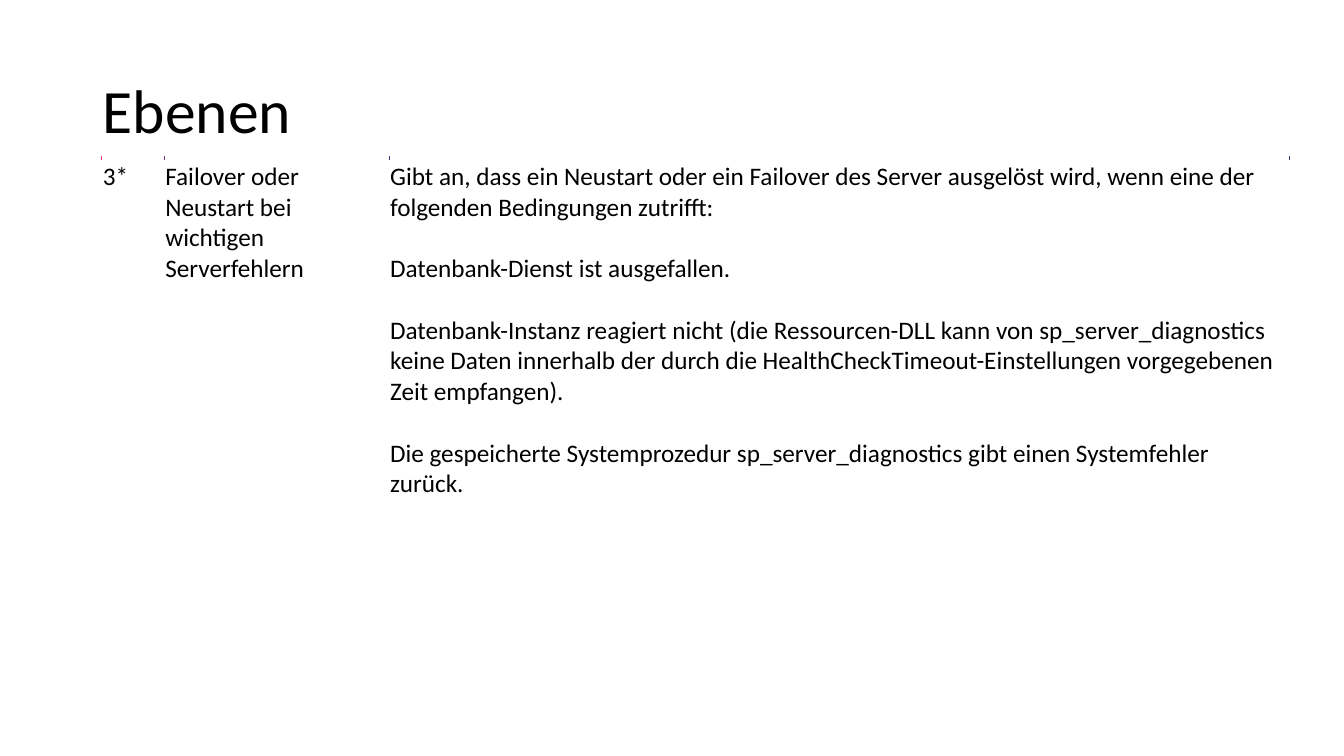
from lxml.etree import SubElement
from pptx import Presentation
from pptx.dml.color import RGBColor
from pptx.enum.text import MSO_ANCHOR, PP_ALIGN
from pptx.oxml.ns import qn
from pptx.util import Inches, Pt

FONT = "Calibri"
BLACK = "000000"
WHITE = "FFFFFF"
COLUMN_WIDTHS = [0.62, 2.23, 8.93]
ROW_HEIGHTS = [0.04, 3.32]
DIVIDER_COLORS = ["F04082", "703C82", "303C82", "303C82"]
LEVEL_TEXTS = [
    ["3*"],
    ["Failover oder Neustart bei wichtigen Serverfehlern"],
    [
        "Gibt an, dass ein Neustart oder ein Failover des Server ausgelöst wird, "
        "wenn eine der folgenden Bedingungen zutrifft:",
        "Datenbank-Dienst ist ausgefallen.",
        "Datenbank-Instanz reagiert nicht (die Ressourcen-DLL kann von "
        "sp_server_diagnostics keine Daten innerhalb der durch die "
        "HealthCheckTimeout-Einstellungen vorgegebenen Zeit empfangen).",
        "Die gespeicherte Systemprozedur sp_server_diagnostics gibt einen "
        "Systemfehler zurück.",
    ],
]


def rgb(color):
    return RGBColor.from_string(color)


def format_runs(paragraph, size):
    for run in paragraph.runs:
        run.font.name = FONT
        run.font.size = Pt(size)
        run.font.color.rgb = rgb(BLACK)


def add_title(slide, text):
    title = slide.shapes.title
    title.left, title.top = Inches(0.92), Inches(0.4)
    title.width, title.height = Inches(11.5), Inches(1.45)
    title.text_frame.text = text
    title.text_frame.vertical_anchor = MSO_ANCHOR.MIDDLE
    paragraph = title.text_frame.paragraphs[0]
    paragraph.alignment = PP_ALIGN.LEFT
    paragraph.line_spacing = 0.9
    format_runs(paragraph, 44)


def style_cell(cell, margin, left=WHITE, right=WHITE):
    cell.margin_left = cell.margin_right = Inches(margin)
    cell.margin_top = cell.margin_bottom = Inches(margin)
    properties = cell._tc.get_or_add_tcPr()
    borders = {"a:lnL": left, "a:lnR": right, "a:lnT": WHITE, "a:lnB": WHITE}
    for tag, color in borders.items():
        width = Pt(0.75) if color == WHITE else Pt(1)
        line = SubElement(properties, qn(tag), w=str(width))
        fill = SubElement(line, qn("a:solidFill"))
        SubElement(fill, qn("a:srgbClr"), val=color)
    cell.fill.solid()
    cell.fill.fore_color.rgb = rgb(WHITE)


def fill_cell(cell, texts):
    text_frame = cell.text_frame
    text_frame.text = "\n".join(texts)
    for index, paragraph in enumerate(text_frame.paragraphs):
        paragraph.space_before = Pt(22 if index else 0)
        format_runs(paragraph, 18)


def add_level_table(slide):
    frame = slide.shapes.add_table(
        len(ROW_HEIGHTS), len(COLUMN_WIDTHS), Inches(1.01), Inches(1.55),
        Inches(sum(COLUMN_WIDTHS)), Inches(sum(ROW_HEIGHTS)))
    table = frame.table
    table.first_row = table.horz_banding = False
    for row, height in zip(table.rows, ROW_HEIGHTS):
        row.height = Inches(height)
    for index, width in enumerate(COLUMN_WIDTHS):
        table.columns[index].width = Inches(width)
        divider = table.cell(0, index)
        style_cell(divider, 0, *DIVIDER_COLORS[index:index + 2])
        divider.text_frame.paragraphs[0]._p.get_or_add_endParaRPr().set("sz", "100")
        level = table.cell(1, index)
        style_cell(level, 0.01)
        fill_cell(level, LEVEL_TEXTS[index])


def main():
    presentation = Presentation()
    presentation.slide_width = Inches(13.33)
    presentation.slide_height = Inches(7.5)
    slide = presentation.slides.add_slide(presentation.slide_layouts[5])
    add_title(slide, "Ebenen")
    add_level_table(slide)
    presentation.save("out.pptx")


if __name__ == "__main__":
    main()
